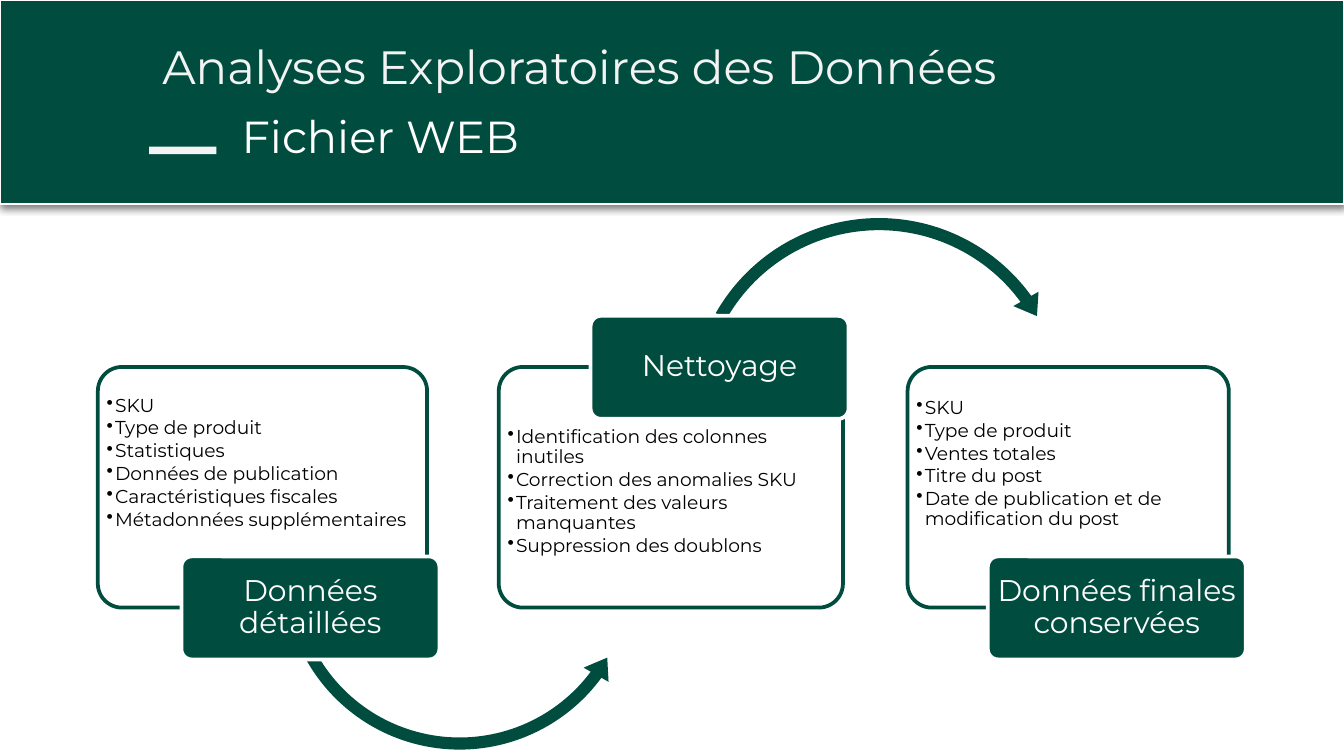
from dataclasses import dataclass

from lxml.etree import SubElement
from pptx import Presentation
from pptx.dml.color import RGBColor
from pptx.enum.shapes import MSO_SHAPE
from pptx.enum.text import MSO_ANCHOR, PP_ALIGN
from pptx.oxml.ns import qn
from pptx.util import Pt


@dataclass(frozen=True)
class Theme:
    font: str = "Montserrat"
    green: str = "004D40"
    white: str = "FFFFFF"
    pale: str = "F3F3F3"
    black: str = "000000"
    title: float = 25
    subtitle: float = 24
    label: float = 16
    body: float = 10


THEME = Theme()
CARD_TOP, CARD_HEIGHT = 196.6, 128.9
LABEL_WIDTH, LABEL_HEIGHT = 138.2, 55.2
LOW, HIGH = 298.1, 169.2

STAGES = [
    dict(
        card=(52.4, 176.4), inset=11.8, label=(97.2, LOW), name="Données détaillées",
        items=["SKU", "Type de produit", "Statistiques", "Données de publication",
               "Caractéristiques fiscales", "Métadonnées supplémentaires"],
        arrow=(MSO_SHAPE.LEFT_CIRCULAR_ARROW, 147.6, 208.8, 197.3,
               (0.033, 4.135, 21.891, 90.245, 0.039)),
    ),
    dict(
        card=(267.2, 184.4), inset=28.6, label=(316.4, HIGH), name="Nettoyage",
        items=["Identification des colonnes inutiles", "Correction des anomalies SKU",
               "Traitement des valeurs manquantes", "Suppression des doublons"],
        arrow=(MSO_SHAPE.CIRCULAR_ARROW, 365.8, 112.3, 210.2,
               (0.031, 3.865, 194.379, 125.755, 0.037)),
    ),
    dict(
        card=(486.2, 172.1), inset=13, label=(529.2, LOW),
        name="Données finales conservées",
        items=["SKU", "Type de produit", "Ventes totales", "Titre du post",
               "Date de publication et de modification du post"],
        arrow=None,
    ),
]


def add_run(p, text, size, color):
    r = p.add_run()
    r.text = text
    r.font.name = THEME.font
    r.font.size = Pt(size)
    r.font.color.rgb = RGBColor.from_string(color)


def set_frame(tf, left, top, right, bottom, anchor=MSO_ANCHOR.TOP):
    tf.word_wrap = True
    tf.vertical_anchor = anchor
    tf.margin_left, tf.margin_top = Pt(left), Pt(top)
    tf.margin_right, tf.margin_bottom = Pt(right), Pt(bottom)


def add_shape(s, kind, box, fill, line=None, width=2, adjustments=()):
    sp = s.shapes.add_shape(kind, *map(Pt, box))
    sp.shadow.inherit = False
    sp.fill.solid()
    sp.fill.fore_color.rgb = RGBColor.from_string(fill)
    if line:
        sp.line.color.rgb = RGBColor.from_string(line)
        sp.line.width = Pt(width)
    else:
        sp.line.fill.background()
    for i, value in enumerate(adjustments):
        sp.adjustments[i] = value
    return sp


def add_heading(s, box, inset, text, size, color):
    tf = s.shapes.add_textbox(*map(Pt, box)).text_frame
    set_frame(tf, 7.2, inset, 7.2, inset)
    add_run(tf.paragraphs[0], text, size, color)


def add_shadow(sp):
    effects = sp._element.spPr.find(qn("a:effectLst"))
    shadow = SubElement(effects, qn("a:outerShdw"), blurRad=str(Pt(4.5)),
                        dist=str(Pt(1.5)), dir="5400000", algn="bl", rotWithShape="0")
    color = SubElement(shadow, qn("a:srgbClr"), val=THEME.black)
    SubElement(color, qn("a:alpha"), val="50000")


def add_bullet(p):
    pPr = p._p.get_or_add_pPr()
    pPr.set("marL", str(Pt(4.5)))
    pPr.set("indent", str(-Pt(4.5)))
    color = SubElement(pPr, qn("a:buClr"))
    SubElement(color, qn("a:srgbClr"), val=THEME.black)
    SubElement(pPr, qn("a:buChar"), char="•")


def add_card(s, left, width, inset, items):
    sp = add_shape(s, MSO_SHAPE.ROUNDED_RECTANGLE, (left, CARD_TOP, width, CARD_HEIGHT),
                   THEME.white, THEME.green, adjustments=[0.1])
    fill_color = sp._element.spPr.find(qn("a:solidFill")).find(qn("a:srgbClr"))
    SubElement(fill_color, qn("a:alpha"), val="90000")
    tf = sp.text_frame
    set_frame(tf, 1, inset, 1, 1)
    for i, item in enumerate(items):
        p = tf.add_paragraph() if i else tf.paragraphs[0]
        p.alignment = PP_ALIGN.LEFT
        p.line_spacing = 0.9
        p.space_after = Pt(1.4)
        add_bullet(p)
        add_run(p, item, THEME.body, THEME.black)


def add_label(s, left, top, text):
    sp = add_shape(s, MSO_SHAPE.ROUNDED_RECTANGLE, (left, top, LABEL_WIDTH, LABEL_HEIGHT),
                   THEME.green, THEME.white, adjustments=[0.1])
    set_frame(sp.text_frame, 2, 1.5, 2, 1.5, MSO_ANCHOR.MIDDLE)
    p = sp.text_frame.paragraphs[0]
    p.alignment = PP_ALIGN.CENTER
    p.line_spacing = 0.9
    p.space_after = Pt(5.6)
    add_run(p, text, THEME.label, THEME.white)


def add_header(s):
    banner = add_shape(s, MSO_SHAPE.RECTANGLE, (0, 0, 720, 109.4),
                       THEME.green, THEME.white, 0.75)
    add_shadow(banner)
    add_heading(s, (79.9, 13, 640, 45.4), 7.2, "Analyses Exploratoires des Données",
                THEME.title, THEME.pale)
    add_shape(s, MSO_SHAPE.RECTANGLE, (79.9, 78.5, 36, 4.1), THEME.pale)
    add_heading(s, (122.4, 54.7, 316.8, 36), 3.6, "Fichier WEB",
                THEME.subtitle, THEME.white)


def add_stage(s, stage):
    add_card(s, *stage["card"], stage["inset"], stage["items"])
    if stage["arrow"]:
        kind, left, top, size, adjustments = stage["arrow"]
        add_shape(s, kind, (left, top, size, size), THEME.green, adjustments=adjustments)
    add_label(s, *stage["label"], stage["name"])


def main():
    prs = Presentation()
    prs.slide_width, prs.slide_height = Pt(720), Pt(405)
    s = prs.slides.add_slide(prs.slide_layouts[6])
    add_header(s)
    for stage in STAGES:
        add_stage(s, stage)
    prs.save("out.pptx")


if __name__ == "__main__":
    main()
